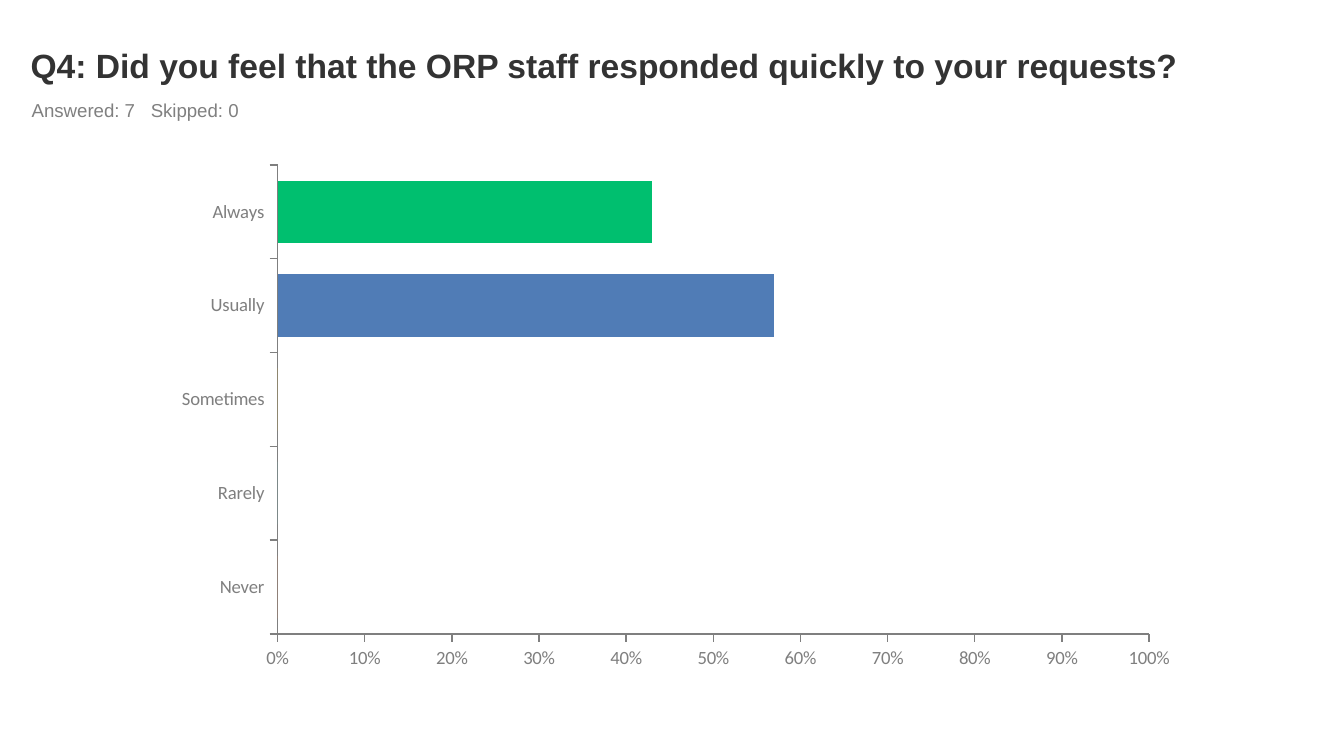
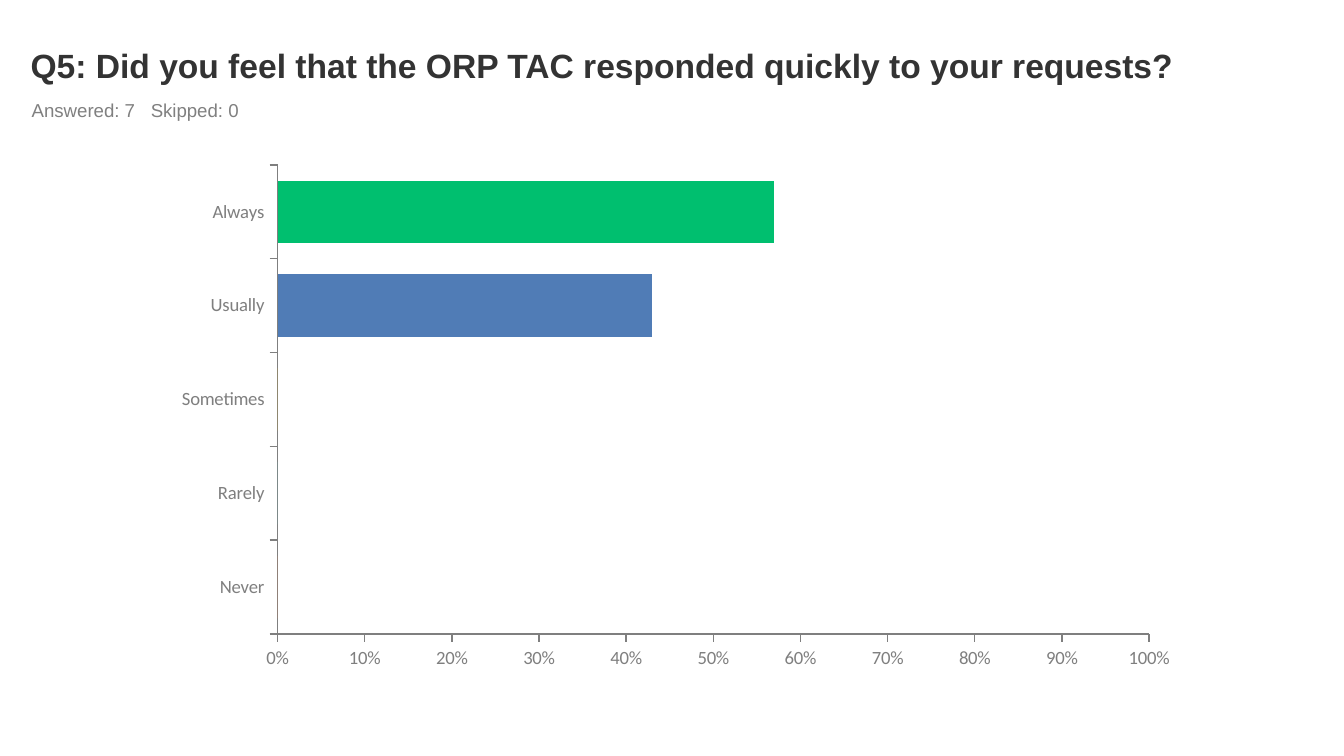
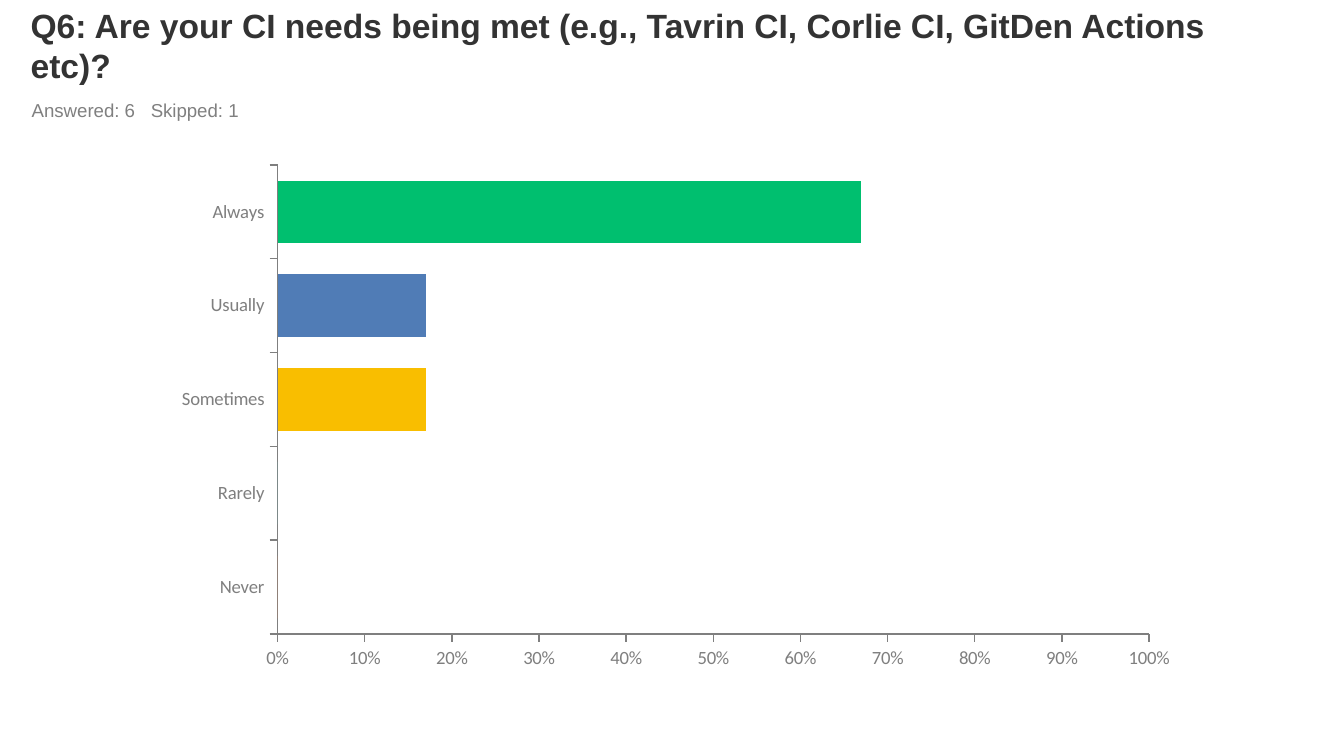
from lxml import etree
from pptx import Presentation
from pptx.chart.data import CategoryChartData
from pptx.dml.color import RGBColor
from pptx.enum.chart import XL_CHART_TYPE, XL_TICK_LABEL_POSITION, XL_TICK_MARK
from pptx.enum.text import MSO_ANCHOR
from pptx.oxml.ns import qn
from pptx.util import Cm, Pt

BAR = XL_CHART_TYPE.BAR_CLUSTERED
LABELS_LOW = XL_TICK_LABEL_POSITION.LOW
TICK_OUT, TICK_NONE = XL_TICK_MARK.OUTSIDE, XL_TICK_MARK.NONE
TOP, BOTTOM = MSO_ANCHOR.TOP, MSO_ANCHOR.BOTTOM

INK = "333333"
GRAY = "808080"
AXIS_GRAY = "7F7F7F"
ANSWER_COLORS = {
    "Always": "00BF6F",
    "Usually": "507CB6",
    "Sometimes": "F9BE00",
    "Rarely": "6BC8CD",
    "Never": "FF8B4F",
}
TITLE_FORMAT = {"name": "Arial", "size": Pt(18), "bold": True}
COUNT_FORMAT = {"name": "Arial", "size": Pt(10), "bold": False}
CHART_FORMAT = {"name": "Calibri", "size": Pt(18)}
AXIS_FORMAT = {"name": "Calibri", "size": Pt(10)}
VALUE_SCALE = {"minimum_scale": 0, "maximum_scale": 1, "major_unit": 0.1}

QUESTIONS = [
    ("Q4: Did you feel that the ORP staff responded quickly to your requests?",
     7, 0, (0.43, 0.57, 0, 0, 0)),
    ("Q5: Did you feel that the ORP TAC responded quickly to your requests?",
     7, 0, (0.57, 0.43, 0, 0, 0)),
    ("Q6: Are your CI needs being met (e.g., Tavrin CI, Corlie CI, GitDen Actions etc)?",
     6, 1, (0.67, 0.17, 0.17, 0, 0)),
]


def style_font(font, formats, color):
    for name, value in formats.items():
        setattr(font, name, value)
    font.color.rgb = RGBColor.from_string(color)


def add_text(page, text, left, top, height, anchor, formats, color):
    box = page.shapes.add_textbox(Cm(left), Cm(top), Cm(22.86), Cm(height))
    box.text_frame.word_wrap = True
    box.text_frame.vertical_anchor = anchor
    para = box.text_frame.paragraphs[0]
    span = para.add_run()
    span.text = text
    style_font(span.font, formats, color)
    return para


deck = Presentation()
deck.slide_width = Cm(25.4)
deck.slide_height = Cm(14.29)

for question, answered, skipped, shares in QUESTIONS:
    page = deck.slides.add_slide(deck.slide_layouts[6])
    add_text(page, question, 0.33, 0.22, 1.52, BOTTOM, TITLE_FORMAT, INK)
    counts = add_text(page, f"Answered: {answered}\tSkipped: {skipped}",
                      0.35, 1.75, 0.66, TOP, COUNT_FORMAT, GRAY)
    tabs = etree.SubElement(counts._p.get_or_add_pPr(), qn("a:tabLst"))
    etree.SubElement(tabs, qn("a:tab"), pos=str(Cm(2.25)), algn="l")

    data = CategoryChartData(number_format="0%")
    data.categories = list(ANSWER_COLORS)
    data.add_series("Series 1", shares)
    frame = page.shapes.add_chart(BAR, Cm(3.05), Cm(2.92), Cm(19.44), Cm(9.91), data)
    chart = frame.chart
    chart.has_title = False
    chart.has_legend = False
    style_font(chart.font, CHART_FORMAT, INK)

    plot = chart.plots[0]
    plot.vary_by_categories = False
    plot.gap_width = 50
    plot.overlap = 100
    series = plot.series[0]
    series.invert_if_negative = False
    series.format.fill.solid()
    series.format.fill.fore_color.rgb = RGBColor.from_string(ANSWER_COLORS["Always"])
    for index, color in enumerate(ANSWER_COLORS.values()):
        fill = series.points[index].format.fill
        fill.solid()
        fill.fore_color.rgb = RGBColor.from_string(color)

    for axis in (chart.category_axis, chart.value_axis):
        axis.has_major_gridlines = False
        axis.major_tick_mark = TICK_OUT
        axis.minor_tick_mark = TICK_NONE
        axis.format.line.width = Pt(0.75)
        axis.format.line.color.rgb = RGBColor.from_string(AXIS_GRAY)
        style_font(axis.tick_labels.font, AXIS_FORMAT, AXIS_GRAY)

    chart.category_axis.reverse_order = True
    chart.category_axis.tick_label_position = LABELS_LOW
    for name, value in VALUE_SCALE.items():
        setattr(chart.value_axis, name, value)
    chart.value_axis.tick_labels.number_format = "0%"
    chart.value_axis.tick_labels.number_format_is_linked = False
    chart.value_axis._element.find(qn("c:crosses")).set("val", "max")

deck.save("out.pptx")
